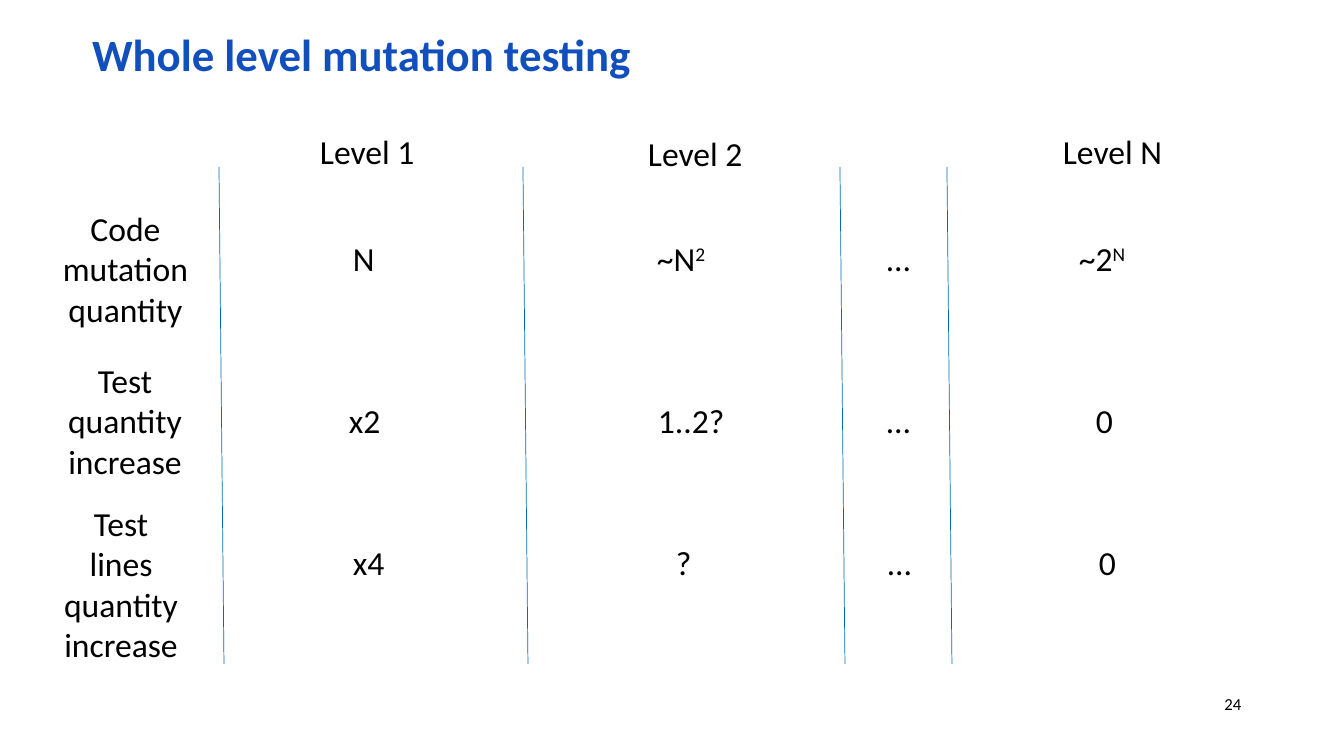
import pptx
import pptx.util
import pptx.dml.color
import pptx.enum.shapes
import pptx.enum.text
from lxml import etree
from dataclasses import dataclass

TITLE = "Whole level mutation testing"
PAGE_NUMBER = "24"

LEVELS = [("Level 1", 310, 126, 116), ("Level 2", 638, 128, 116), ("Level N", 1053, 126, 121)]

ROWS = [
    {"label": "Code\nmutation\nquantity", "label_box": (52, 203, 147, 132), "top": 233,
     "values": [("N", "", 343, 42), ("~N", "2", 647, 71), ("…", "", 877, 44), ("~2", "N", 1069, 70)]},
    {"label": "Test\vquantity\nincrease", "label_box": (57, 355, 136, 132), "top": 395,
     "values": [("x2", "", 339, 52), ("1..2?", "", 648, 88), ("…", "", 877, 44), ("0", "", 1086, 37)]},
    {"label": "Test\vlines\nquantity\nincrease", "label_box": (53, 498, 136, 173), "top": 537,
     "values": [("x4", "", 343, 52), ("?", "", 666, 36), ("…", "", 878, 44), ("0", "", 1089, 37)]},
]

DIVIDERS = [219, 523, 840, 947]
DIVIDER_TOP, DIVIDER_BOTTOM, DIVIDER_LEAN = 167, 664, 5
LINE_HEIGHT = 50


@dataclass(frozen=True)
class Theme:
    font: str = "Calibri"
    title: str = "114FBD"
    text: str = "000000"
    divider: str = "006CB7"
    title_size: int = 32
    text_size: int = 24
    page_size: int = 12
    divider_width: float = 0.5


theme = Theme()
LEFT = pptx.enum.text.PP_ALIGN.LEFT
CENTER = pptx.enum.text.PP_ALIGN.CENTER


def px(pixels):
    return pptx.util.Emu(round(pixels * 914400 / 100.8))


def rgb(colour):
    return pptx.dml.color.RGBColor.from_string(colour)


def format_text(frame, size, colour, align, bold=False):
    for paragraph in frame.paragraphs:
        paragraph.alignment = align
        paragraph.font.name = theme.font
        paragraph.font.size = pptx.util.Pt(size)
        paragraph.font.bold = bold
        paragraph.font.color.rgb = rgb(colour)


def add_text(text, box, align=LEFT, size=theme.text_size, superscript=""):
    frame = slide.shapes.add_textbox(*map(px, box)).text_frame
    frame.word_wrap = False
    frame.text = text
    if superscript:
        exponent = frame.paragraphs[0].add_run()
        exponent.text = superscript
        exponent._r.get_or_add_rPr().set("baseline", "30000")
    format_text(frame, size, theme.text, align)


presentation = pptx.Presentation()
presentation.slide_width, presentation.slide_height = px(1344), px(756)
slide = presentation.slides.add_slide(presentation.slide_layouts[5])

heading = slide.shapes.title
heading.left, heading.top, heading.width, heading.height = map(px, (82, 29, 972, 50))
heading.text_frame.text = TITLE
heading.text_frame.vertical_anchor = pptx.enum.text.MSO_ANCHOR.MIDDLE
format_text(heading.text_frame, theme.title_size, theme.title, LEFT, bold=True)

add_text(PAGE_NUMBER, (1205, 689, 56, 30), CENTER, theme.page_size)

for level, left, top, width in LEVELS:
    add_text(level, (left, top, width, LINE_HEIGHT))

for x in DIVIDERS:
    divider = slide.shapes.add_connector(
        pptx.enum.shapes.MSO_CONNECTOR.STRAIGHT,
        px(x), px(DIVIDER_TOP), px(x + DIVIDER_LEAN), px(DIVIDER_BOTTOM))
    divider.line.color.rgb = rgb(theme.divider)
    divider.line.width = pptx.util.Pt(theme.divider_width)
    etree.SubElement(divider._element.spPr, pptx.oxml.ns.qn("a:effectLst"))

for row in ROWS:
    add_text(row["label"], row["label_box"], CENTER)
    for value, exponent, left, width in row["values"]:
        add_text(value, (left, row["top"], width, LINE_HEIGHT), superscript=exponent)

presentation.save("out.pptx")
